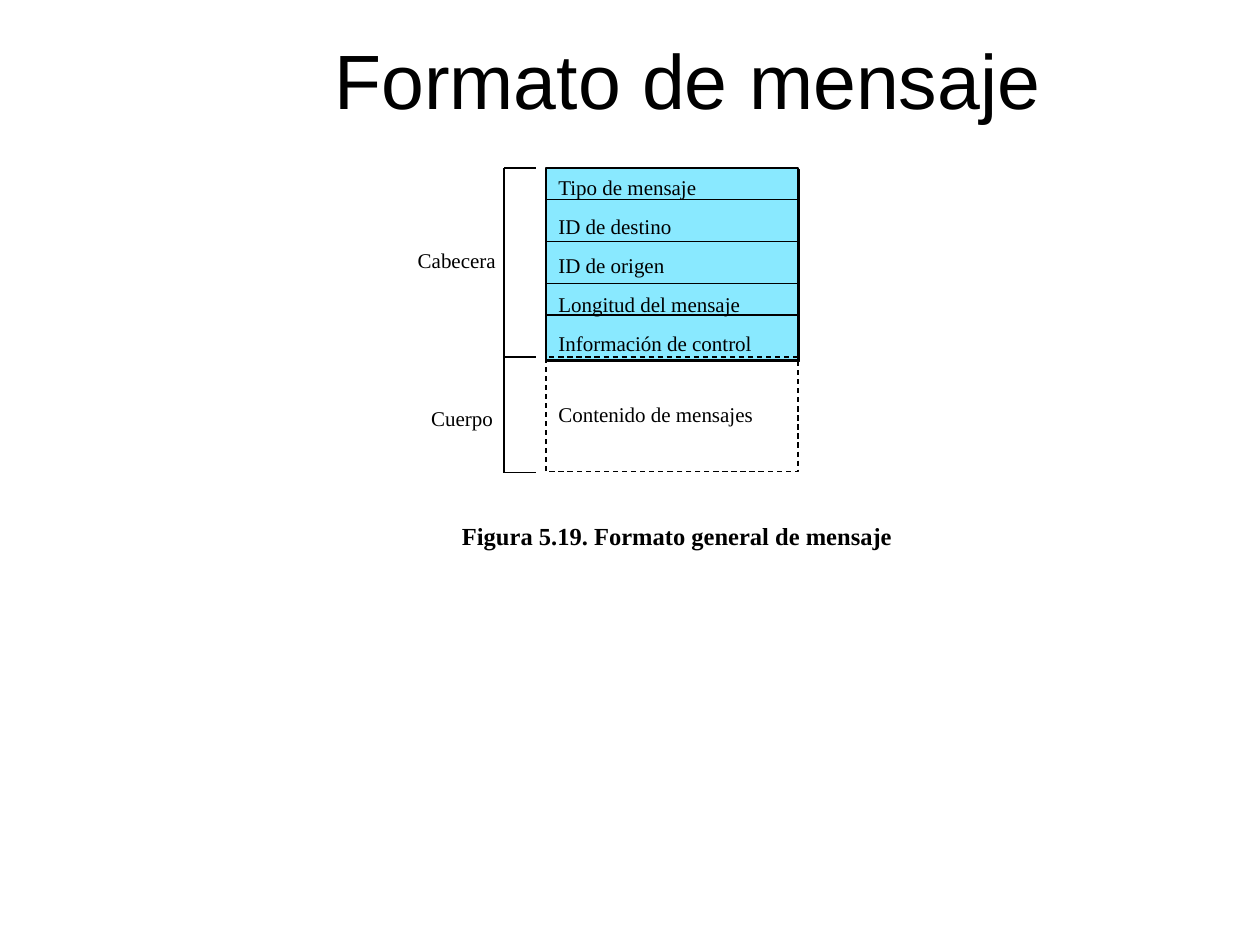
from lxml import etree
from pptx import Presentation
from pptx.dml.color import RGBColor
from pptx.enum.dml import MSO_LINE
from pptx.enum.shapes import MSO_CONNECTOR, MSO_SHAPE
from pptx.enum.text import MSO_ANCHOR as Anchor, PP_ALIGN as Align
from pptx.oxml import parse_xml
from pptx.oxml.ns import qn
from pptx.util import Inches, Pt

BLACK = RGBColor(0, 0, 0)
CYAN = RGBColor(0x89, 0xE9, 0xFF)
SERIF = "Times New Roman"

TITLE = "Formato de mensaje"
FIELDS = ["Tipo de mensaje", "ID de destino", "ID de origen",
          "Longitud del mensaje", "Información de control"]
BODY = "Contenido de mensajes"
CAPTION = "Figura 5.19. Formato general de mensaje"
LABELS = [("Cabecera", 23, 15), ("Cuerpo", 38, 16)]

UNIT = Inches(1) / 12
LEFT, RIGHT = 52, 76
SPINE, TIP = 48, 51
TOP, SPLIT, END = 16, 34, 45
RULES = [19, 23, 27, 30]

SHADOW = """<a:effectLst xmlns:a="http://schemas.openxmlformats.org/drawingml/2006/main">
<a:outerShdw blurRad="0" dist="17780" dir="2700000" algn="ctr" rotWithShape="0">
<a:srgbClr val="000000"/></a:outerShdw></a:effectLst>"""


def grid(*cells):
    return [round(cell * UNIT) for cell in cells]


def write(shape, *lines, size=12, font=SERIF, bold=False,
          align=Align.LEFT, anchor=Anchor.TOP, gap=8):
    frame = shape.text_frame
    frame.word_wrap = True
    frame.vertical_anchor = anchor
    frame.text = "\n".join(lines)
    for i, par in enumerate(frame.paragraphs):
        par.alignment = align
        par.space_before = Pt(gap if i else 0)
        par.font.name, par.font.size = font, Pt(size)
        par.font.bold, par.font.color.rgb = bold, BLACK


def box(top, height):
    shape = slide.shapes.add_shape(
        MSO_SHAPE.RECTANGLE, *grid(LEFT, top, RIGHT - LEFT, height))
    shape.shadow.inherit = False
    shape.line.color.rgb = BLACK
    shape.line.width = Pt(0.75)
    return shape


def rule(x1, y1, x2, y2):
    line = slide.shapes.add_connector(
        MSO_CONNECTOR.STRAIGHT, *grid(x1, y1, x2, y2))
    line.line.color.rgb = BLACK
    line.line.width = Pt(0.75)
    etree.SubElement(line._element.spPr, qn("a:effectLst"))


def label(text, left, top, width, height, **style):
    area = slide.shapes.add_textbox(*grid(left, top, width, height))
    write(area, text, align=Align.CENTER, **style)


deck = Presentation()
deck.slide_width, deck.slide_height = Inches(10), Inches(7.5)
slide = deck.slides.add_slide(deck.slide_layouts[5])

title = slide.shapes.title
title.left, title.top, title.width, title.height = grid(19, 0, 93, 15)
write(title, TITLE, size=44, font="Arial",
      align=Align.CENTER, anchor=Anchor.MIDDLE)

head = box(TOP, 18.25)
head.fill.solid()
head.fill.fore_color.rgb = CYAN
props = head._element.spPr
props.replace(props.find(qn("a:effectLst")), parse_xml(SHADOW))
write(head, *FIELDS)

body = box(SPLIT, END - SPLIT - 0.1)
body.fill.background()
body.line.dash_style = MSO_LINE.DASH
write(body, BODY, anchor=Anchor.MIDDLE)

for y in RULES:
    rule(LEFT, y, RIGHT, y)
for y in (TOP, SPLIT, END):
    rule(TIP, y, SPINE, y)
for start, stop in ((TOP, SPLIT), (SPLIT, END)):
    rule(SPINE, start, SPINE, stop)

for text, top, width in LABELS:
    label(text, 36, top, width, 3.6)
label(CAPTION, 34, 49, 61, 4, size=14, bold=True)

deck.save("out.pptx")
